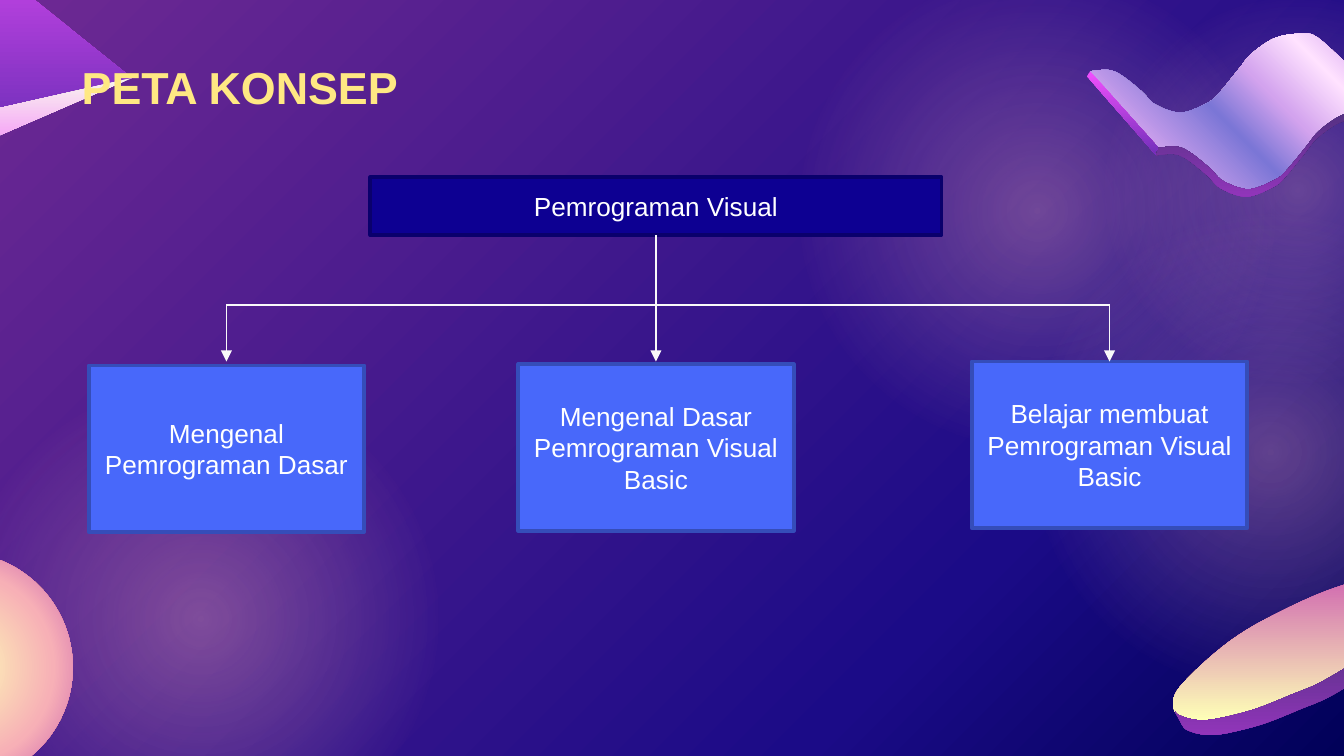
from typing import NamedTuple

from lxml.etree import SubElement
from pptx import Presentation
from pptx.dml.color import RGBColor
from pptx.enum.shapes import MSO_CONNECTOR, MSO_SHAPE
from pptx.enum.text import MSO_ANCHOR, PP_ALIGN
from pptx.oxml.ns import qn
from pptx.util import Pt

# Colours
WHITE = RGBColor(0xFF, 0xFF, 0xFF)
GOLD = RGBColor(0xFF, 0xE8, 0x83)
PALE = RGBColor(0xF9, 0xF9, 0xF9)
NAVY = RGBColor(0x0D, 0x00, 0x92)
NIGHT = RGBColor(0x0A, 0x00, 0x6C)
BLUE = RGBColor(0x48, 0x68, 0xFA)
STEEL = RGBColor(0x35, 0x4D, 0xB9)
PLUM = RGBColor(0x6E, 0x29, 0x93)
INDIGO = RGBColor(0x1B, 0x0B, 0x87)
DARK = RGBColor(0x01, 0x01, 0x59)
ROSE = RGBColor(0xF7, 0xB0, 0xB6)
CREAM = RGBColor(0xFE, 0xFF, 0xB7)
PINK = RGBColor(0xCF, 0x65, 0xB0)
NEON = RGBColor(0xF2, 0x50, 0xFE)
GRAPE = RGBColor(0x72, 0x2F, 0xBA)
IVORY = RGBColor(0xF9, 0xF6, 0xEF)
FUCHSIA = RGBColor(0xF1, 0x48, 0xFF)
SLATE = RGBColor(0x37, 0x2F, 0x68)
VIOLET = RGBColor(0x91, 0x35, 0xBA)
BLUSH = RGBColor(0xFF, 0xE2, 0xFF)
LILAC = RGBColor(0xD3, 0xA3, 0xEE)
HAZE = RGBColor(0x7B, 0x76, 0xD6)

Point = tuple[float, float]


class Stop(NamedTuple):
    pos: int
    color: RGBColor
    alpha: int = 100


class Blend(NamedTuple):
    stops: list[Stop]
    angle: int | None = 90  # None: radial


class Disc(NamedTuple):
    left: float
    top: float
    size: float
    blend: Blend


class Box(NamedTuple):
    text: str
    left: float
    top: float
    width: float = 147.6
    height: float = 89.3
    fill: RGBColor = BLUE
    edge: RGBColor = STEEL

    @property
    def mid(self) -> float:
        return self.left + self.width / 2


def fade(top: RGBColor, low: RGBColor) -> Blend:
    return Blend([Stop(0, top), Stop(100, low)])


def put(item, values: dict) -> None:
    for name, value in values.items():
        setattr(item, name, value)


def tint(fill, node, blend: Blend) -> None:
    """Give a fill its gradient stops and direction."""
    fill.gradient()
    grad = node.find(".//" + qn("a:gradFill"))
    for child in list(grad):
        grad.remove(child)
    stops = SubElement(grad, qn("a:gsLst"))
    for stop in blend.stops:
        mark = SubElement(stops, qn("a:gs"), pos=str(stop.pos * 1000))
        color = SubElement(mark, qn("a:srgbClr"), val=str(stop.color))
        if stop.alpha < 100:
            SubElement(color, qn("a:alpha"), val=str(stop.alpha * 1000))
    if blend.angle is None:
        way = SubElement(grad, qn("a:path"), path="circle")
        SubElement(way, qn("a:fillToRect"), dict.fromkeys("ltrb", "50000"))
    else:
        SubElement(grad, qn("a:lin"), ang=str(blend.angle * 60000), scaled="0")


def paint(shape, blend: Blend) -> None:
    shape.shadow.inherit = False
    shape.line.fill.background()
    tint(shape.fill, shape._element, blend)


def smooth(knots: list[Point], loop: bool = False, steps: int = 6) -> list[Point]:
    """Run a Catmull-Rom curve through the knots."""
    ring = [knots[-1], *knots, *knots[:2]] if loop else [knots[0], *knots, knots[-1]]
    curve = []
    for a, b, c, d in zip(ring, ring[1:], ring[2:], ring[3:]):
        for t in (n / steps for n in range(steps)):
            curve.append(tuple(
                (2 * q + (r - p) * t + (2 * p - 5 * q + 4 * r - s) * t ** 2
                 + (3 * q - p - 3 * r + s) * t ** 3) / 2
                for p, q, r, s in zip(a, b, c, d)))
    return curve if loop else curve + [knots[-1]]


def band(edge: list[Point], dx: float, dy: float) -> list[Point]:
    """Outline swept by an edge that moves by (dx, dy)."""
    return edge + [(x + dx, y + dy) for x, y in reversed(edge)]


def outline(shapes, points: list[Point], blend: Blend) -> None:
    first, *rest = [(Pt(x), Pt(y)) for x, y in points]
    form = shapes.build_freeform(*first, scale=1)
    form.add_line_segments(rest, close=True)
    paint(form.convert_to_shape(), blend)


def disc(shapes, item: Disc) -> None:
    size = Pt(item.size)
    paint(shapes.add_shape(MSO_SHAPE.OVAL, Pt(item.left), Pt(item.top), size, size), item.blend)


def write(frame, text: str, align, font: dict, color: RGBColor) -> None:
    put(frame, {"word_wrap": True, "vertical_anchor": MSO_ANCHOR.MIDDLE})
    para = frame.paragraphs[0]
    para.alignment = align
    run = para.add_run()
    run.text = text
    put(run.font, {"name": "Arial", **font})
    run.font.color.rgb = color


def draw(shapes, box: Box) -> None:
    place = map(Pt, (box.left, box.top, box.width, box.height))
    shape = shapes.add_shape(MSO_SHAPE.RECTANGLE, *place)
    shape.shadow.inherit = False
    shape.fill.solid()
    shape.fill.fore_color.rgb = box.fill
    shape.line.color.rgb = box.edge
    shape.line.width = Pt(2)
    write(shape.text_frame, box.text, PP_ALIGN.CENTER, {"size": Pt(14)}, WHITE)


def link(shapes, start: Point, end: Point, bent: bool = False, arrow: bool = False) -> None:
    kind = MSO_CONNECTOR.ELBOW if bent else MSO_CONNECTOR.STRAIGHT
    wire = shapes.add_connector(kind, *map(Pt, start + end))
    wire.line.color.rgb = PALE
    wire.line.width = Pt(0.75)
    props = wire._element.spPr
    if bent:
        props.find(qn("a:prstGeom")).set("prst", "bentConnector2")
    if arrow:
        SubElement(props.find(qn("a:ln")), qn("a:tailEnd"), type="triangle")
    SubElement(props, qn("a:effectLst"))


deck = Presentation()
put(deck, {"slide_width": Pt(720), "slide_height": Pt(405)})
slide = deck.slides.add_slide(deck.slide_layouts[6])
shapes = slide.shapes

# Background with soft glows
tint(slide.background.fill, slide._element,
     Blend([Stop(0, PLUM), Stop(74, INDIGO), Stop(100, DARK)], 45))
GLOW = Blend([Stop(0, ROSE, 34), Stop(66, ROSE, 0), Stop(100, ROSE, 0)], None)
for spot in [(-29.5, 194.4, 274.3), (583.9, -9.4, 222.5),
             (418.3, -24.5, 274.3), (543.6, 105.1, 274.3)]:
    disc(shapes, Disc(*spot, GLOW))

# Pyramid and ball on the left
tip, base = (70.6, 41.8), (-49.7, 69.1)
outline(shapes, [tip, base, (-67.7, -69.1)], fade(NEON, GRAPE))
outline(shapes, [tip, (-85.7, 109.4), base], fade(IVORY, FUCHSIA))
BALL = Blend([Stop(0, CREAM), Stop(59, ROSE), Stop(92, PINK), Stop(100, CREAM)], None)
disc(shapes, Disc(-84.4, 295.8, 123.4, BALL))

# Ribbon at the top right
ribbon = smooth([
    (620.6, 79.2), (630, 78.5), (637.2, 81.4), (648, 90), (654.5, 96.5), (664.6, 100.8),
    (672.5, 100.8), (684, 95.8), (689.8, 90.7), (699.8, 78.5), (707, 69.8), (720, 61.2),
    (735.1, 59), (742.3, 61.2), (753.1, 70.6), (759.6, 76.3), (769.7, 81.4), (782.6, 79.9),
    (794.9, 71.3), (805, 58.3), (812.2, 49.7), (825.1, 41), (832.3, 39.6)])
SHEEN = [(0, BLUSH), (8, LILAC), (21, HAZE), (35, LILAC), (46, BLUSH),
         (58, LILAC), (69, HAZE), (85, LILAC), (94, BLUSH), (100, LILAC)]
outline(shapes, band(ribbon, -36.4, -41), Blend([Stop(*pair) for pair in SHEEN], 135))
outline(shapes, band(ribbon, -1.2, 4), fade(SLATE, VIOLET))
outline(shapes, [(618.5, 82), (620.6, 79.2), (584, 38.2), (582.5, 41), (619.2, 82.8)],
        fade(NEON, GRAPE))

# Coin at the bottom right
lower = [(763.9, 315.4), (760.3, 325.4), (738, 346.3), (709.9, 364.3), (691.9, 372.2),
         (673.9, 379.4), (658.1, 383.8), (645.8, 385.9), (637.9, 385.2), (631.4, 383),
         (629.3, 380.9)]
upper = [(628.4, 375.5), (632.2, 367.9), (645, 355), (661, 342), (680.4, 330.5),
         (709.9, 316.8), (736.6, 308.9), (755, 307.6), (763.2, 312.5)]
outline(shapes, smooth(lower + upper, loop=True), fade(PINK, CREAM))
outline(shapes, band(smooth(lower), 4.3, 7.9), fade(SLATE, VIOLET))

# Title
title = shapes.add_textbox(Pt(36.7), Pt(23.8), Pt(645.1), Pt(45.4)).text_frame
put(title, {f"margin_{side}": Pt(7.2) for side in ("left", "top", "right", "bottom")})
write(title, "PETA KONSEP", PP_ALIGN.JUSTIFY, {"size": Pt(24), "bold": True}, GOLD)

# Concept map
root = Box("Pemrograman Visual", 198.4, 95, 306, 31, NAVY, NIGHT)
topics = [Box("Mengenal Pemrograman Dasar", 47.5, 195.8),
          Box("Mengenal Dasar Pemrograman Visual Basic", 277.6, 195.1),
          Box("Belajar membuat Pemrograman Visual Basic", 520.6, 193.7)]
RAIL, FOOT = 163.4, 193.7
for box in [root, *topics]:
    draw(shapes, box)
for box in topics:
    link(shapes, (box.mid, RAIL), (box.mid, FOOT), arrow=True)
for box in (topics[0], topics[-1]):
    link(shapes, (box.mid, RAIL), (root.mid, root.top + root.height), bent=True)

deck.save("out.pptx")
